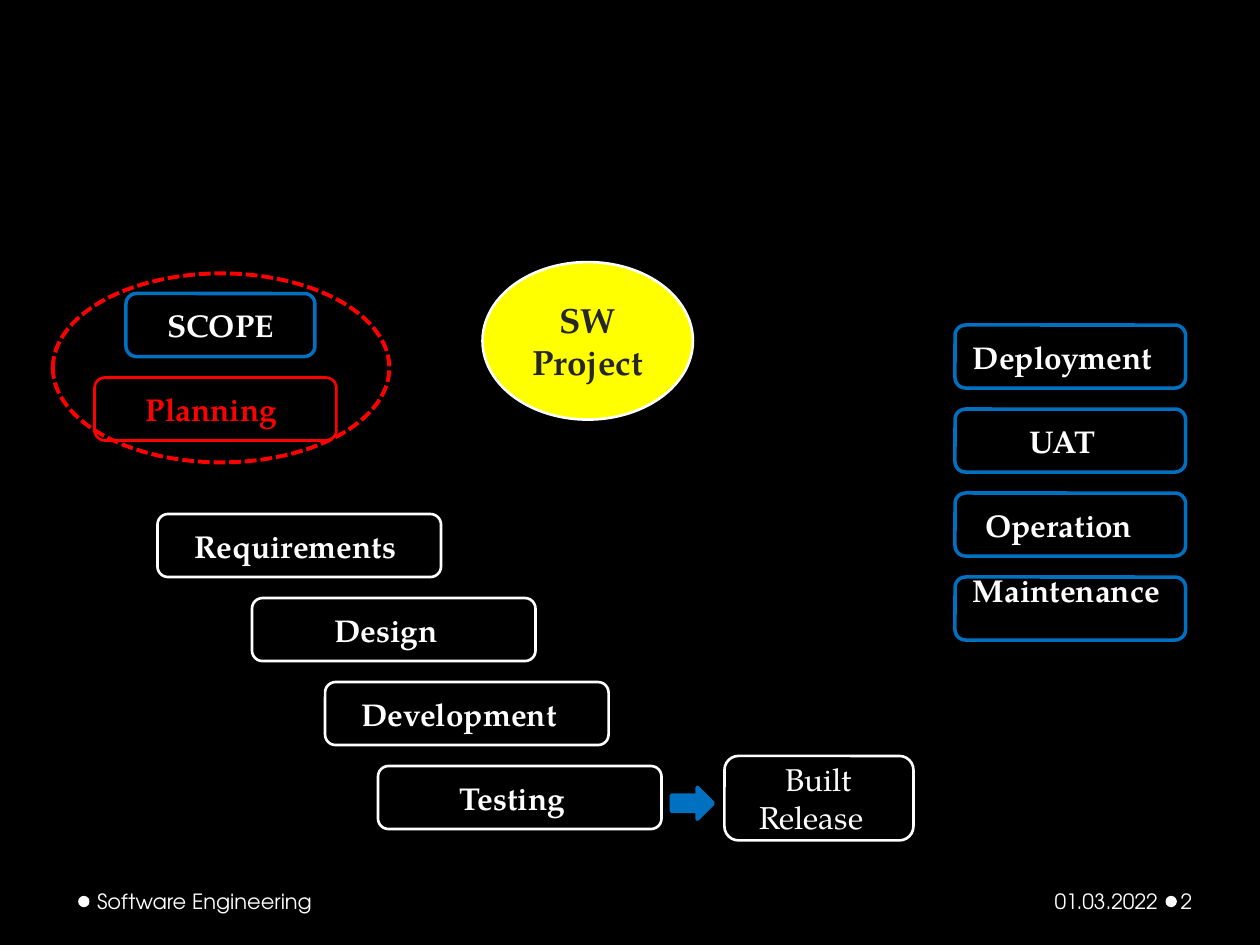
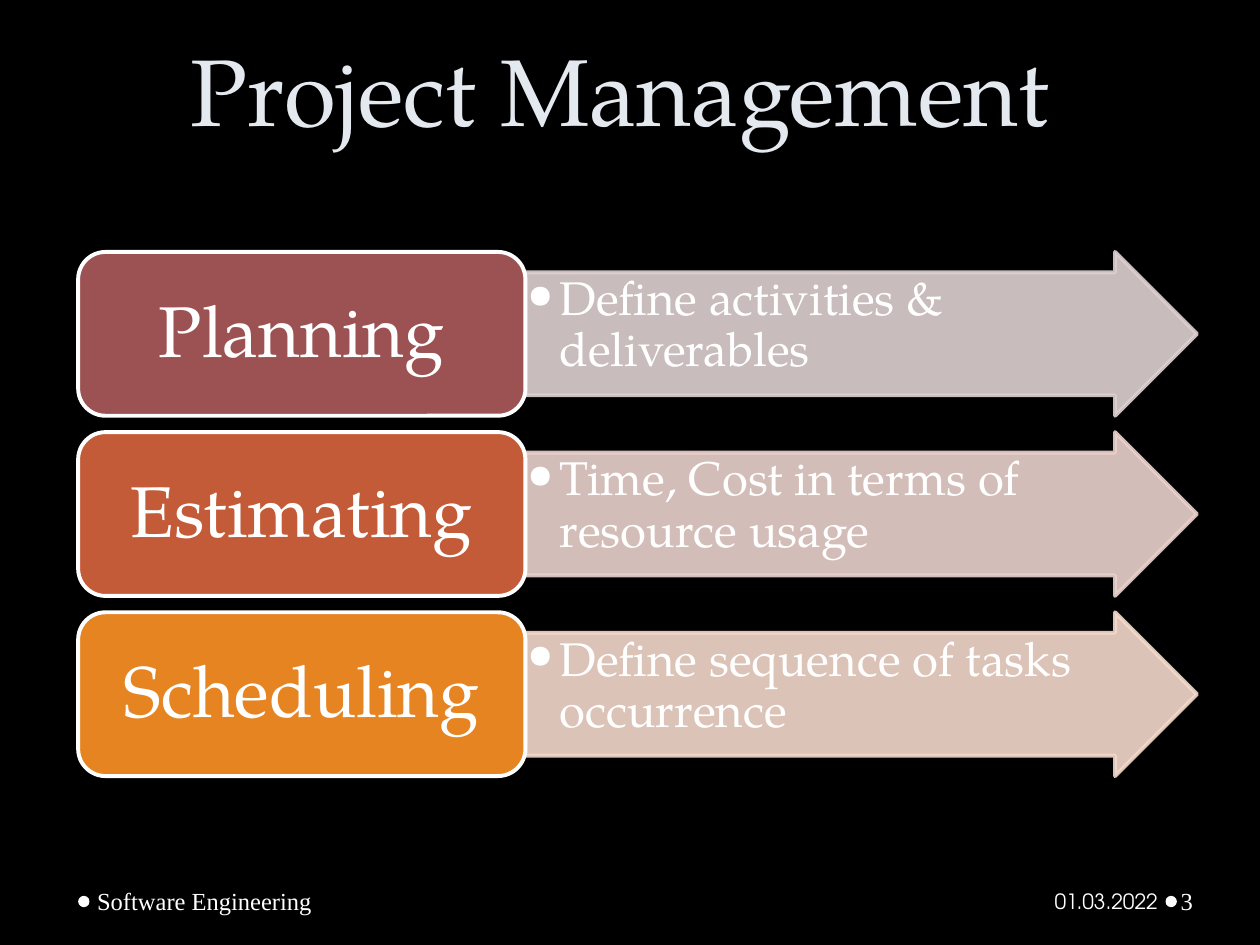
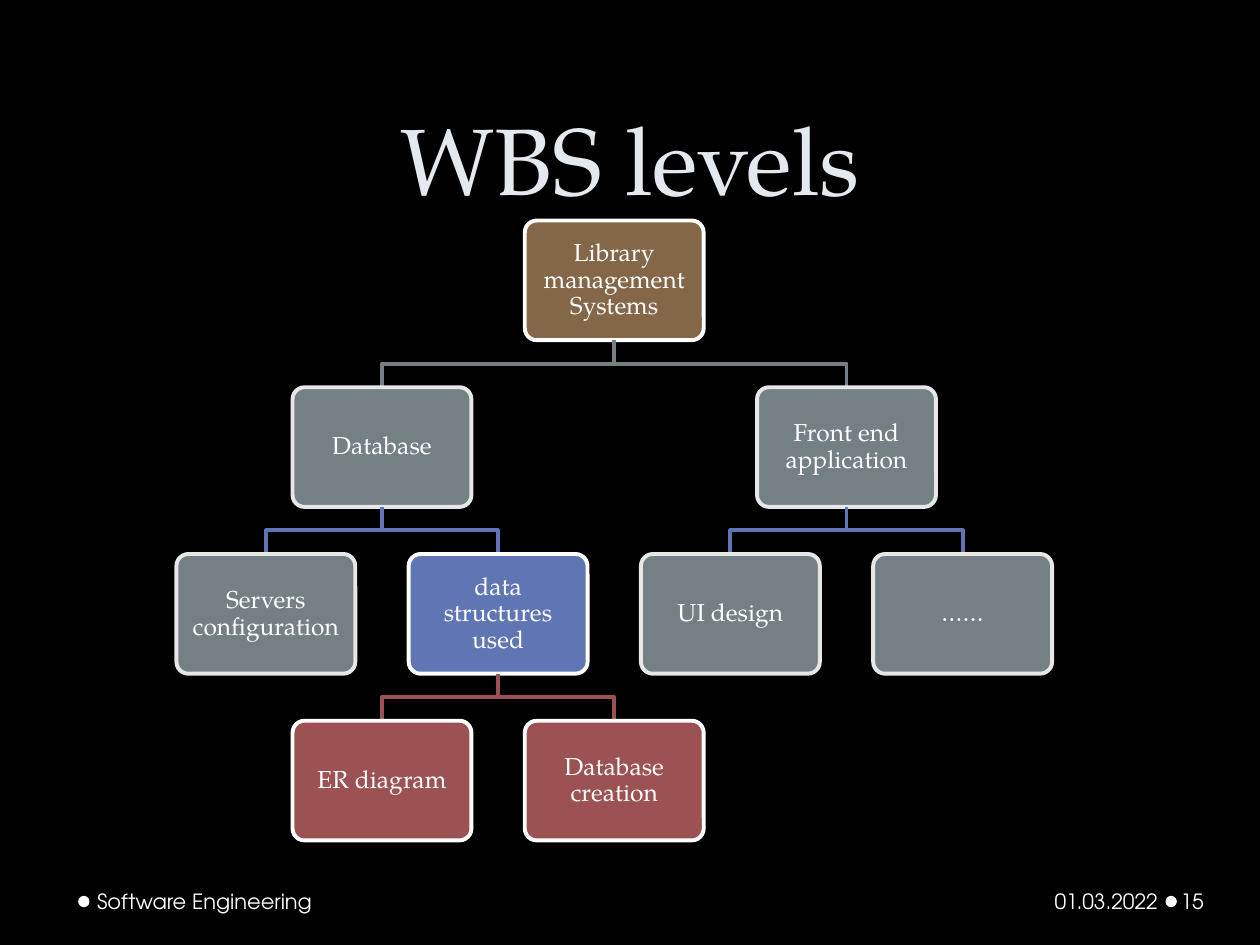
from lxml import etree
from pptx import Presentation
from pptx.dml.color import RGBColor
from pptx.enum.dml import MSO_LINE
from pptx.enum.shapes import MSO_SHAPE
from pptx.enum.text import MSO_ANCHOR, PP_ALIGN
from pptx.oxml.ns import qn
from pptx.util import Inches, Pt

ELLIPSE, ROUNDED, ARROW = MSO_SHAPE.OVAL, MSO_SHAPE.ROUNDED_RECTANGLE, MSO_SHAPE.RIGHT_ARROW
LEFT, CENTER, RIGHT = PP_ALIGN.LEFT, PP_ALIGN.CENTER, PP_ALIGN.RIGHT
TOP, MIDDLE, BOTTOM = MSO_ANCHOR.TOP, MSO_ANCHOR.MIDDLE, MSO_ANCHOR.BOTTOM

SERIF, SANS, TIMES = "TeX Gyre Pagella", "TeX Gyre Adventor", "Times New Roman"
BLACK, WHITE, TITLE_COLOR = "000000", "FFFFFF", "E4E9EF"
BLUE, RED, YELLOW, DARK = "0070C0", "FF0000", "FFFF00", "262626"
GREY, PALE, INDIGO, MAROON, BROWN = "758085", "E7E7E7", "6076B4", "9C5252", "846648"

FOOTER, DATE = "Software Engineering", "01.03.2022"
DEFAULT_INSETS = (0.1, 0.05, 0.1, 0.05)
SPACE = 0.06

ROW_STEP, BOX_HEIGHT = 2 / 3, 0.5
PREPARATION = [("SCOPE", 1, 1.5, BLUE, WHITE, 2, 0), ("Planning", 0.75, 1.92, RED, RED, 1.5, 1)]
BUILD_STEPS = [("Requirements", 1.25, 1), ("Design", 2, 2), ("Development", 2.58, 2), ("Testing", 3, 2)]
RELEASE_STEPS = [("Deployment", 2), ("UAT", 2), ("Operation", 3), ("Maintenance", 1)]

ACTIVITIES = [
    ("Planning", "Define activities & deliverables", MAROON, "DED1D1"),
    ("Estimating", "Time, Cost in terms of resource usage", "C35B38", "EBD2CD"),
    ("Scheduling", "Define sequence of tasks occurrence", "E68422", "F5D9CC"),
]

ROOT = "Library management Systems"
TREE = [
    (ROOT, 3, 0, BROWN, WHITE, None),
    ("Database", 1, 1, GREY, PALE, ROOT),
    ("Front end application", 5, 1, GREY, PALE, ROOT),
    ("Servers configuration", 0, 2, GREY, PALE, "Database"),
    ("data structures used", 2, 2, INDIGO, WHITE, "Database"),
    ("UI design", 4, 2, GREY, PALE, "Front end application"),
    ("……", 6, 2, GREY, PALE, "Front end application"),
    ("ER diagram", 1, 3, MAROON, WHITE, "data structures used"),
    ("Database creation", 3, 3, MAROON, WHITE, "data structures used"),
]
BRANCH_COLORS = [None, GREY, INDIGO, MAROON]


def color(value):
    return RGBColor.from_string(value)


def paint(shape, fill=None, line=None, width=1.5):
    shape.shadow.inherit = False
    if fill:
        shape.fill.solid()
        shape.fill.fore_color.rgb = color(fill)
    else:
        shape.fill.background()
    if line:
        shape.line.color.rgb = color(line)
        shape.line.width = Pt(width)
    else:
        shape.line.fill.background()


def write(shape, text, size, font=SERIF, ink=WHITE, bold=False, align=CENTER,
          anchor=MIDDLE, insets=DEFAULT_INSETS, spacing=None):
    frame = shape.text_frame
    frame.word_wrap = True
    frame.vertical_anchor = anchor
    frame.margin_left, frame.margin_top, frame.margin_right, frame.margin_bottom = map(Inches, insets)
    frame.text = text
    for paragraph in frame.paragraphs:
        paragraph.alignment = align
        if spacing:
            paragraph.line_spacing = spacing
        for run in paragraph.runs:
            run.font.name, run.font.size, run.font.bold = font, Pt(size), bold
            run.font.color.rgb = color(ink)


def add_shape(slide, kind, box, fill=None, line=None, width=1.5):
    shape = slide.shapes.add_shape(kind, *map(Inches, box))
    paint(shape, fill, line, width)
    return shape


def add_text(slide, box, text, size, **style):
    write(slide.shapes.add_textbox(*map(Inches, box)), text, size, **style)


def add_slide(presentation, number, footer_font=SANS, footer_size=12):
    slide = presentation.slides.add_slide(presentation.slide_layouts[6])
    for left in (9.25, 0.62):
        add_shape(slide, ELLIPSE, (left, 7.11, 0.09, 0.09), WHITE)
    add_text(slide, (0.72, 6.95, 3.11, 0.4), FOOTER, footer_size, font=footer_font,
             align=LEFT, insets=(0.05, 0.05, 0.1, 0.05))
    add_text(slide, (9.34, 6.95, 0.61, 0.4), number, footer_size, font=footer_font,
             align=LEFT, insets=(0.03, 0.05, 0.05, 0.05))
    add_text(slide, (6.96, 6.95, 2.28, 0.4), DATE, 12, font=SANS,
             align=RIGHT, insets=(0.1, 0.05, 0.05, 0.05))
    return slide


def add_title(slide, box, text):
    add_text(slide, box, text, 54, ink=TITLE_COLOR, anchor=BOTTOM, spacing=Pt(58))


def set_indent(paragraph, left, first_line=0):
    properties = paragraph._p.get_or_add_pPr()
    properties.set("marL", str(Inches(left)))
    properties.set("indent", str(Inches(first_line)))
    return properties


def add_bullet(paragraph, indent):
    properties = set_indent(paragraph, indent, -indent)
    etree.SubElement(properties, qn("a:buFont")).set("typeface", SERIF)
    etree.SubElement(properties, qn("a:buChar")).set("char", "•")


def add_step(slide, box, text, line, shift, ink=WHITE, width=1.5, bold=True, lift=0):
    step = add_shape(slide, ROUNDED, box, line=line, width=width)
    insets = (0.1, 0.05, 0.1 + shift * SPACE, 0.05 + lift)
    write(step, text, 18, ink=ink, bold=bold, insets=insets)
    return step


def build_life_cycle(presentation):
    slide = add_slide(presentation, "2")
    project = add_shape(slide, ELLIPSE, (3.83, 2.08, 1.67, 1.25), YELLOW, WHITE)
    write(project, "SW\nProject", 20, ink=DARK, bold=True)
    for row, (text, left, width, line, ink, weight, shift) in enumerate(PREPARATION):
        box = (left, 2.33 + row * ROW_STEP, width, BOX_HEIGHT)
        add_step(slide, box, text, line, shift, ink, weight)
    for row, (text, left, shift) in enumerate(BUILD_STEPS):
        add_step(slide, (left, 4.08 + row * ROW_STEP, 2.25, BOX_HEIGHT), text, WHITE, shift)
    release = add_step(slide, (5.75, 6, 1.5, 0.67), "Built\nRelease", WHITE, 2, bold=False)
    set_indent(release.text_frame.paragraphs[0], 2 * SPACE)
    for row, (text, shift) in enumerate(RELEASE_STEPS):
        lift = 0.3 if text == "Maintenance" else 0
        box = (7.58, 2.58 + row * ROW_STEP, 1.83, BOX_HEIGHT)
        add_step(slide, box, text, BLUE, shift, width=2, lift=lift)
    add_shape(slide, ARROW, (5.33, 6.25, 0.33, 0.25), BLUE, BLUE, 2.25)
    focus = add_shape(slide, ELLIPSE, (0.42, 2.17, 2.67, 1.5), line=RED, width=2.25)
    focus.line.dash_style = MSO_LINE.SQUARE_DOT


def make_translucent(shape, percent):
    for node in shape.element.spPr.iter(qn("a:srgbClr")):
        etree.SubElement(node, qn("a:alpha")).set("val", str(percent * 1000))


def build_management(presentation):
    slide = add_slide(presentation, "3", TIMES, 14)
    add_title(slide, (0.42, 0.12, 9, 1.08), "Project Management")
    left, name_width, arrow_width, height = 0.62, 3.55, 5.33, 1.3
    for row, (name, detail, fill, tint) in enumerate(ACTIVITIES):
        top = 2 + row * 1.1 * height
        arrow = add_shape(slide, ARROW, (left + name_width, top, arrow_width, height), tint, tint, 2.25)
        arrow.adjustments[0] = 0.75
        make_translucent(arrow, 90)
        write(arrow, detail, 27, align=LEFT, anchor=TOP, insets=(0.02, 0.02, 0.35, 0.02), spacing=0.9)
        add_bullet(arrow.text_frame.paragraphs[0], 0.25)
        label = add_shape(slide, ROUNDED, (left, top, name_width, height), fill, WHITE, 2.25)
        write(label, name, 41, insets=(0.17, 0.09, 0.17, 0.09), spacing=0.9)


def add_branch(slide, start, end, line):
    (start_x, start_y), (end_x, end_y) = start, end
    middle = (start_y + end_y) / 2
    points = [(Inches(x), Inches(y)) for x, y in (start, (start_x, middle), (end_x, middle), end)]
    builder = slide.shapes.build_freeform(*points[0])
    builder.add_line_segments(points[1:], close=False)
    paint(builder.convert_to_shape(), line=line, width=2.25)


def build_breakdown(presentation):
    slide = add_slide(presentation, "15")
    add_title(slide, (0.5, 0, 9, 1.75), "WBS levels")
    width, height = 1.42, 0.95
    column_step, level_step = 5.53 / 6, 3.97 / 3
    places = {text: (2.11 + column * column_step, 1.75 + level * level_step)
              for text, column, level, *_ in TREE}
    for text, column, level, fill, line, parent in TREE:
        center, top = places[text]
        if parent:
            parent_center, parent_top = places[parent]
            add_branch(slide, (parent_center, parent_top + height), (center, top), BRANCH_COLORS[level])
        box = add_shape(slide, ROUNDED, (center - width / 2, top, width, height), fill, line, 2.25)
        box.adjustments[0] = 0.1
        write(box, text, 14, insets=(0.06,) * 4, spacing=0.9)


def main():
    presentation = Presentation()
    presentation.slide_width, presentation.slide_height = Inches(10), Inches(7.5)
    background = presentation.slide_master.background.fill
    background.solid()
    background.fore_color.rgb = color(BLACK)
    build_life_cycle(presentation)
    build_management(presentation)
    build_breakdown(presentation)
    presentation.save("out.pptx")


if __name__ == "__main__":
    main()
